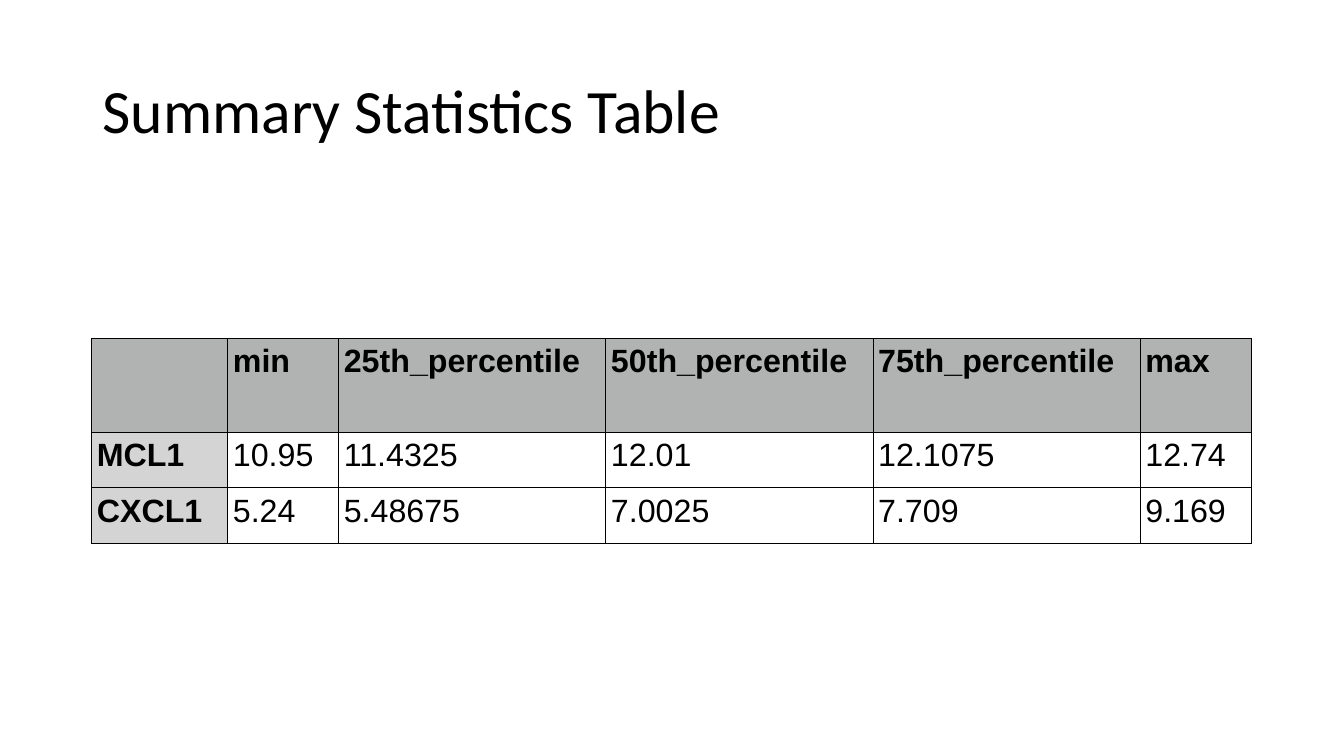
from dataclasses import dataclass

from lxml import etree
from pptx import Presentation
from pptx import util as u
from pptx.dml.color import RGBColor
from pptx.enum import text
from pptx.oxml.ns import qn


@dataclass(frozen=True)
class Theme:
    """Colours, fonts and sizes of the slide."""
    ink: str = "000000"
    header: str = "B0B3B2"
    label: str = "D4D4D4"
    title_font: str = "Calibri"
    table_font: str = "Arial"
    title_size: int = 44
    table_size: int = 23
    border: float = 0.75
    inset: float = 0.05


THEME = Theme()
COL_WIDTHS = [1.35, 1.1, 2.65, 2.65, 2.65, 1.1]
ROW_HEIGHTS = [0.93, 0.55, 0.55]
STATISTICS = [
    ["", "min", "25th_percentile", "50th_percentile", "75th_percentile", "max"],
    ["MCL1", "10.95", "11.4325", "12.01", "12.1075", "12.74"],
    ["CXCL1", "5.24", "5.48675", "7.0025", "7.709", "9.169"],
]


def apply(obj, values):
    """Set each attribute named in values on obj."""
    for name, value in values.items():
        setattr(obj, name, value)


def style_font(font, name, size, bold=False):
    """Give a font its face, size, weight and the ink colour."""
    apply(font, {"name": name, "size": u.Pt(size), "bold": bold})
    font.color.rgb = RGBColor.from_string(THEME.ink)


def add_title(s, words, left, top, width, height):
    """Add the slide title, centred vertically in its box."""
    tf = s.shapes.add_textbox(*map(u.Inches, (left, top, width, height))).text_frame
    apply(tf, {"word_wrap": True, "vertical_anchor": text.MSO_ANCHOR.MIDDLE})
    p = tf.paragraphs[0]
    p.line_spacing = 0.9
    r = p.add_run()
    r.text = words
    style_font(r.font, THEME.title_font, THEME.title_size)


def add_borders(cell):
    """Draw a thin solid line on all four sides of a cell."""
    tc_pr = cell._tc.get_or_add_tcPr()
    for i, side in enumerate("LRTB"):
        ln = etree.Element(qn(f"a:ln{side}"), w=str(u.Pt(THEME.border)))
        fill = etree.SubElement(ln, qn("a:solidFill"))
        etree.SubElement(fill, qn("a:srgbClr"), val=THEME.ink)
        tc_pr.insert(i, ln)


def fill_cell(cell, words, color, bold):
    """Write a cell and set its margins, fill and borders."""
    margins = ("margin_left", "margin_right", "margin_top", "margin_bottom")
    apply(cell, dict.fromkeys(margins, u.Inches(THEME.inset)))
    if color:
        cell.fill.solid()
        cell.fill.fore_color.rgb = RGBColor.from_string(color)
    else:
        cell.fill.background()
    add_borders(cell)
    if words:
        r = cell.text_frame.paragraphs[0].add_run()
        r.text = words
        style_font(r.font, THEME.table_font, THEME.table_size, bold)


def add_statistics_table(s, rows, left, top):
    """Add the table with a shaded header row and label column."""
    size = (sum(COL_WIDTHS), sum(ROW_HEIGHTS))
    frame = s.shapes.add_table(len(rows), len(COL_WIDTHS),
                               *map(u.Inches, (left, top, *size)))
    table = frame.table
    apply(table, {"first_row": False, "horz_banding": False})
    for col, width in zip(table.columns, COL_WIDTHS):
        col.width = u.Inches(width)
    for row, height in zip(table.rows, ROW_HEIGHTS):
        row.height = u.Inches(height)
    for i, values in enumerate(rows):
        for j, words in enumerate(values):
            color = THEME.header if i == 0 else THEME.label if j == 0 else None
            fill_cell(table.cell(i, j), words, color, bold=color is not None)


def main():
    """Build and save the slide."""
    prs = Presentation()
    apply(prs, {"slide_width": u.Inches(13.33), "slide_height": u.Inches(7.5)})
    s = prs.slides.add_slide(prs.slide_layouts[6])
    add_title(s, "Summary Statistics Table", 0.92, 0.4, 11.5, 1.45)
    add_statistics_table(s, STATISTICS, 0.91, 3.36)
    prs.save("out.pptx")


main()
